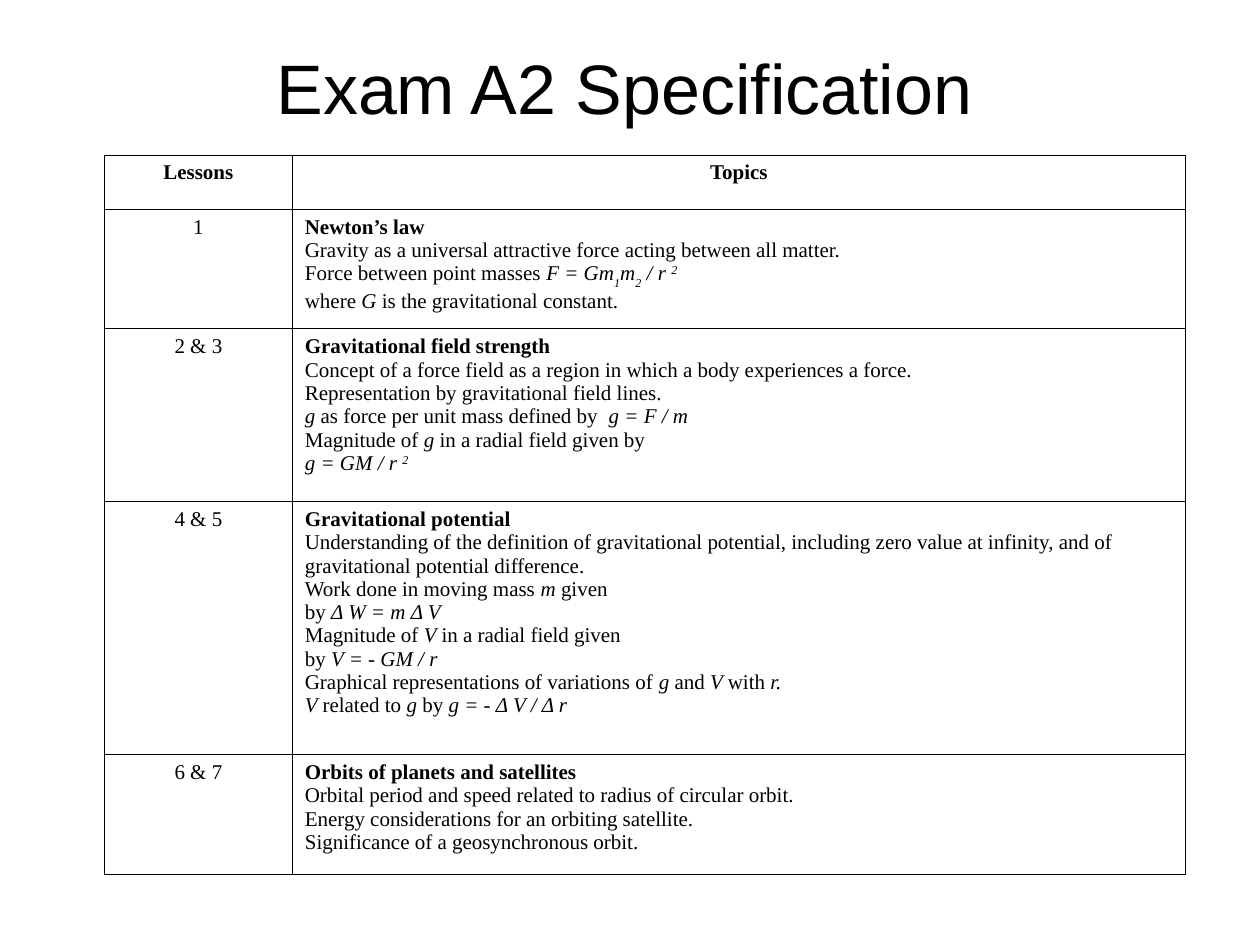
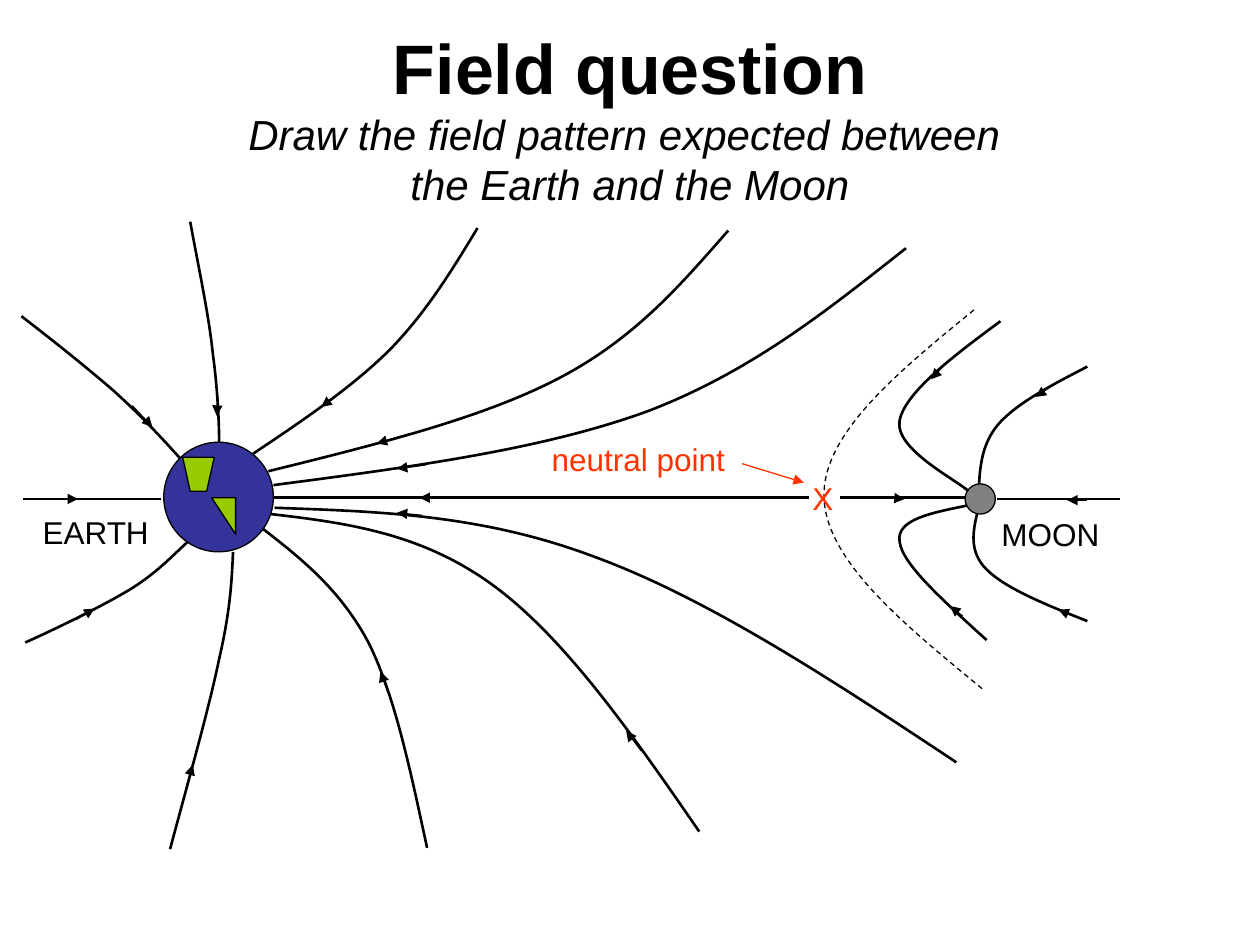
import itertools

import pptx
import pptx.dml.color
import pptx.enum.dml
import pptx.enum.shapes
import pptx.enum.text
import pptx.oxml
import pptx.oxml.ns
import pptx.util

RGBColor = pptx.dml.color.RGBColor
Pt = pptx.util.Pt
MSO_SHAPE = pptx.enum.shapes.MSO_SHAPE
PP_ALIGN = pptx.enum.text.PP_ALIGN
MSO_AUTO_SIZE = pptx.enum.text.MSO_AUTO_SIZE
qn = pptx.oxml.ns.qn

BLACK = RGBColor(0x00, 0x00, 0x00)
SEA_BLUE = RGBColor(0x33, 0x33, 0x99)
LAND_GREEN = RGBColor(0x99, 0xCC, 0x00)
MOON_GREY = RGBColor(0x80, 0x80, 0x80)
NEUTRAL_RED = RGBColor(0xFF, 0x33, 0x00)

HEADING_FONT = "Arial"
TABLE_FONT = "Times New Roman"

# The slide is a grid of 10 columns by 7.5 rows of square cells.
CELL = pptx.util.Inches(1)
COLUMNS, ROWS = 10, 7.5
THIN, THICK = 0.75, 1.5

COLUMN_WIDTHS = [1.49, 7.09]
ROW_HEIGHTS = [0.43, 0.95, 1.37, 2.01, 0.95]

# In topic lines * toggles italic, _ subscript and ^ superscript.
MARKS = "*_^"
LESSONS = [
    ("1", [
        "Newton’s law",
        "Gravity as a universal attractive force acting between all matter.",
        "Force between point masses *F = Gm_1_m_2_ / r ^2^*",
        "where *G *is the gravitational constant.",
    ]),
    ("2 & 3", [
        "Gravitational field strength",
        "Concept of a force field as a region in which a body experiences a force.",
        "Representation by gravitational field lines.",
        "*g *as force per unit mass defined by  *g = F / m*",
        "Magnitude of *g *in a radial field given by",
        "*g = GM / r ^2^*",
    ]),
    ("4 & 5", [
        "Gravitational potential",
        "Understanding of the definition of gravitational potential, including zero "
        "value at infinity, and of gravitational potential difference.",
        "Work done in moving mass *m *given",
        "by *Δ W = m Δ V*",
        "Magnitude of *V *in a radial field given",
        "by *V = - GM / r*",
        "Graphical representations of variations of *g *and *V *with *r.*",
        "*V *related to *g *by *g = - Δ V / Δ r*",
    ]),
    ("6 & 7", [
        "Orbits of planets and satellites",
        "Orbital period and speed related to radius of circular orbit.",
        "Energy considerations for an orbiting satellite.",
        "Significance of a geosynchronous orbit.",
    ]),
]

# Each field line: start and Bézier points (or two ends), then its arrow.
EARTH_FIELD = [
    ([(7.19, 1.97), (6.58, 2.45), (5.98, 2.94), (5.15, 3.26),
      (4.31, 3.57), (3.24, 3.71), (2.17, 3.85)], [(3.38, 3.69), (3.15, 3.72)]),
    ([(5.78, 1.83), (5.41, 2.25), (5.05, 2.68), (4.44, 3),
      (3.83, 3.32), (2.98, 3.53), (2.13, 3.74)], [(3.26, 3.44), (2.99, 3.52)]),
    ([(3.79, 1.81), (3.59, 2.14), (3.39, 2.47), (3.1, 2.77),
      (2.8, 3.07), (2.4, 3.34), (2.01, 3.6)], [(2.77, 3.06), (2.55, 3.23)]),
    ([(1.51, 1.76), (1.58, 2.14), (1.66, 2.51), (1.69, 2.81),
      (1.73, 3.1), (1.74, 3.39), (1.74, 3.51)], [(1.73, 3.15), (1.72, 3.3)]),
    ([(0.17, 2.51), (0.43, 2.71), (0.68, 2.91), (0.9, 3.1),
      (1.11, 3.29), (1.28, 3.47), (1.44, 3.65)], [(1.05, 3.22), (1.21, 3.39)]),
    ([(1.28, 3.96), (0.18, 3.96)], [(0.47, 3.96), (0.62, 3.96)]),
    ([(0.2, 5.1), (0.51, 4.96), (0.81, 4.81), (1.03, 4.68),
      (1.24, 4.55), (1.36, 4.42), (1.49, 4.3)], [(0.6, 4.92), (0.75, 4.83)]),
    ([(1.35, 6.74), (1.5, 6.18), (1.66, 5.62), (1.74, 5.23),
      (1.83, 4.84), (1.84, 4.6), (1.85, 4.38)], [(1.48, 6.24), (1.53, 6.07)]),
    ([(7.59, 6.05), (6.61, 5.4), (5.62, 4.75), (4.72, 4.42),
      (3.82, 4.08), (3, 4.06), (2.18, 4.03)], [(3.35, 4.09), (3.15, 4.07)]),
    ([(5.55, 6.6), (5.02, 5.83), (4.49, 5.07), (3.92, 4.65),
      (3.35, 4.23), (2.75, 4.15), (2.15, 4.08)], [(5.09, 5.96), (4.97, 5.8)]),
    ([(3.39, 6.73), (3.26, 6.13), (3.14, 5.54), (2.93, 5.11),
      (2.71, 4.69), (2.4, 4.44), (2.09, 4.2)], [(3.08, 5.5), (3.02, 5.33)]),
]
MOON_FIELD = [
    ([(8.63, 2.91), (8.36, 3.05), (8.09, 3.19), (7.94, 3.35),
      (7.8, 3.5), (7.78, 3.68), (7.77, 3.85)], [(8.38, 3.04), (8.22, 3.15)]),
    ([(6.67, 3.95), (7.68, 3.95)], [(7.06, 3.95), (7.18, 3.96)]),
    ([(8.89, 3.96), (7.91, 3.96)], [(8.63, 3.97), (8.47, 3.97)]),
    ([(7.94, 2.55), (7.56, 2.83), (7.18, 3.12), (7.14, 3.34),
      (7.1, 3.57), (7.6, 3.81), (7.7, 3.91)], [(7.5, 2.89), (7.39, 3.01)]),
    ([(7.83, 5.08), (7.5, 4.78), (7.16, 4.48), (7.14, 4.3),
      (7.11, 4.12), (7.4, 4.07), (7.69, 4.01)], [(7.64, 4.89), (7.54, 4.81)]),
    ([(8.63, 4.93), (8.3, 4.8), (7.98, 4.67), (7.83, 4.52),
      (7.69, 4.38), (7.72, 4.22), (7.76, 4.06)], [(8.5, 4.88), (8.4, 4.84)]),
]
NEUTRAL_BOUNDARY = [(7.73, 2.46), (7.13, 2.95), (6.53, 3.44), (6.54, 3.94),
                    (6.55, 4.45), (7.18, 4.96), (7.8, 5.47)]
NORTHERN_LAND = [(1.45, 3.63), (1.51, 3.9), (1.64, 3.9), (1.7, 3.63)]


def grid(*cells):
    """Turn grid cells into lengths."""
    return [pptx.util.Emu(round(cell * CELL)) for cell in cells]


def add_titled_slide(presentation, box):
    """Add a slide and return it with the paragraph of its placed title."""
    slide = presentation.slides.add_slide(presentation.slide_layouts[5])
    title = slide.shapes.title
    title.left, title.top, title.width, title.height = grid(*box)
    frame = title.text_frame
    frame.auto_size = MSO_AUTO_SIZE.NONE
    frame.vertical_anchor = pptx.enum.text.MSO_ANCHOR.MIDDLE
    paragraph = frame.paragraphs[0]
    paragraph.alignment = PP_ALIGN.CENTER
    set_font(paragraph.font, HEADING_FONT, 40, BLACK)
    return slide, paragraph


def set_font(font, name, size, color):
    font.name = name
    font.size = Pt(size)
    font.color.rgb = color


def add_marked_runs(paragraph, markup):
    active = dict.fromkeys(MARKS, False)
    for is_mark, characters in itertools.groupby(markup, lambda c: c in MARKS):
        if is_mark:
            for mark in characters:
                active[mark] = not active[mark]
            continue
        run = paragraph.add_run()
        run.text = "".join(characters)
        if active["*"]:
            run.font.italic = True
        baseline = 30000 * (active["^"] - active["_"])
        if baseline:
            run._r.get_or_add_rPr().set("baseline", str(baseline))


def fill_cell(cell, lines, centered=False, bold_first=False):
    cell.fill.background()
    frame = cell.text_frame
    for index, line in enumerate(lines):
        paragraph = frame.add_paragraph() if index else frame.paragraphs[0]
        if centered:
            paragraph.alignment = PP_ALIGN.CENTER
        set_font(paragraph.font, TABLE_FONT, 12, BLACK)
        paragraph.font.bold = bold_first and index == 0
        add_marked_runs(paragraph, line)
    properties = cell._tc.get_or_add_tcPr()
    for position, side in enumerate(("lnL", "lnR", "lnT", "lnB")):
        border = pptx.oxml.parse_xml(
            f'<a:{side} {pptx.oxml.ns.nsdecls("a")} w="{Pt(0.45)}"><a:solidFill>'
            f'<a:srgbClr val="{BLACK}"/></a:solidFill></a:{side}>')
        properties.insert(position, border)


def add_lessons_table(slide):
    box = grid(0.83, 1.23, sum(COLUMN_WIDTHS), sum(ROW_HEIGHTS))
    table = slide.shapes.add_table(len(ROW_HEIGHTS), len(COLUMN_WIDTHS), *box).table
    table.first_row = table.horz_banding = False
    for column, width in zip(table.columns, grid(*COLUMN_WIDTHS)):
        column.width = width
    for row, height in zip(table.rows, grid(*ROW_HEIGHTS)):
        row.height = height
    for column, heading in enumerate(("Lessons", "Topics")):
        fill_cell(table.cell(0, column), [heading], centered=True, bold_first=True)
    for row, (lesson, topics) in enumerate(LESSONS, start=1):
        fill_cell(table.cell(row, 0), [lesson], centered=True)
        fill_cell(table.cell(row, 1), topics, bold_first=True)


def add_line(shapes, start, end, weight=THICK, color=BLACK, arrow=False):
    connector = shapes.add_connector(
        pptx.enum.shapes.MSO_CONNECTOR.STRAIGHT, *grid(*start, *end))
    connector.line.color.rgb = color
    connector.line.width = Pt(weight)
    if arrow:
        connector.line._get_or_add_ln().append(pptx.oxml.parse_xml(
            f'<a:tailEnd {pptx.oxml.ns.nsdecls("a")} type="triangle"/>'))
    connector._element.spPr.append(pptx.oxml.parse_xml(
        f'<a:effectLst {pptx.oxml.ns.nsdecls("a")}/>'))


def style_shape(shape, fill=None, weight=THIN):
    shape.shadow.inherit = False
    if fill is None:
        shape.fill.background()
    else:
        shape.fill.solid()
        shape.fill.fore_color.rgb = fill
    shape.line.color.rgb = BLACK
    shape.line.width = Pt(weight)


def add_outline(shapes, points, close=False):
    builder = shapes.build_freeform(*grid(*points[0]))
    builder.add_line_segments([grid(*point) for point in points[1:]], close=close)
    return builder.convert_to_shape()


def add_curve(shapes, points, weight=THICK):
    """Draw Bézier segments: a start, then two handles and an end for each."""
    shape = add_outline(shapes, points)
    outline = shape._element.find(".//" + qn("a:path"))
    segments = outline.findall(qn("a:lnTo"))
    for first in range(0, len(segments), 3):
        bezier = outline.makeelement(qn("a:cubicBezTo"), {})
        for segment in segments[first:first + 3]:
            bezier.append(segment[0])
            outline.remove(segment)
        outline.append(bezier)
    style_shape(shape, weight=weight)
    return shape


def add_field_line(shapes, points, arrow):
    if len(points) == 2:
        add_line(shapes, *points)
    else:
        add_curve(shapes, points)
    add_line(shapes, *arrow, weight=THIN, arrow=True)


def add_preset(shapes, kind, box, fill):
    shape = shapes.add_shape(kind, *grid(*box))
    style_shape(shape, fill)
    return shape


def add_label(shapes, text, left, top, width, color=BLACK):
    frame = shapes.add_textbox(*grid(left, top, width, 0.4)).text_frame
    frame.word_wrap = True
    frame.auto_size = MSO_AUTO_SIZE.SHAPE_TO_FIT_TEXT
    paragraph = frame.paragraphs[0]
    paragraph.add_run().text = text
    set_font(paragraph.font, HEADING_FONT, 18, color)


def add_field_diagram(slide):
    shapes = slide.shapes.add_group_shape().shapes
    add_line(shapes, (6.42, 3.95), (3.33, 3.95), arrow=True)
    add_line(shapes, (3.35, 3.95), (2.15, 3.95))
    boundary = add_curve(shapes, NEUTRAL_BOUNDARY, THIN)
    boundary.line.dash_style = pptx.enum.dml.MSO_LINE.DASH
    for points, arrow in EARTH_FIELD + MOON_FIELD:
        add_field_line(shapes, points, arrow)
    add_label(shapes, "X", 6.35, 3.75, 0.44, NEUTRAL_RED)
    add_preset(shapes, MSO_SHAPE.OVAL, (7.66, 3.84, 0.24, 0.24), MOON_GREY)
    add_preset(shapes, MSO_SHAPE.OVAL, (1.3, 3.51, 0.87, 0.87), SEA_BLUE)
    style_shape(add_outline(shapes, NORTHERN_LAND, close=True), LAND_GREEN)
    southern_land = add_preset(
        shapes, MSO_SHAPE.RIGHT_TRIANGLE, (1.68, 3.95, 0.19, 0.29), LAND_GREEN)
    southern_land.rotation = 180
    add_label(shapes, "EARTH", 0.24, 4.02, 1.2)
    add_label(shapes, "MOON", 7.85, 4.04, 1.2)
    add_label(shapes, "neutral point", 4.28, 3.44, 1.66, NEUTRAL_RED)
    add_line(shapes, (5.89, 3.68), (6.38, 3.83), THIN, NEUTRAL_RED, arrow=True)


def add_specification_slide(presentation):
    slide, title = add_titled_slide(presentation, (0.5, 0.3, 8.91, 0.77))
    title.add_run().text = "Exam A2 Specification"
    add_lessons_table(slide)


def add_question_slide(presentation):
    slide, title = add_titled_slide(presentation, (0.5, 0.3, 9, 1.25))
    title.font.size = Pt(24)
    heading = title.add_run()
    heading.text = "Field question"
    heading.font.size = Pt(40)
    heading.font.bold = True
    for line in ("Draw the field pattern expected between ", "the Earth and the Moon"):
        title.add_line_break()
        run = title.add_run()
        run.text = line
        run.font.italic = True
    add_field_diagram(slide)


def main():
    presentation = pptx.Presentation()
    presentation.slide_width, presentation.slide_height = grid(COLUMNS, ROWS)
    add_specification_slide(presentation)
    add_question_slide(presentation)
    presentation.save("out.pptx")


if __name__ == "__main__":
    main()
